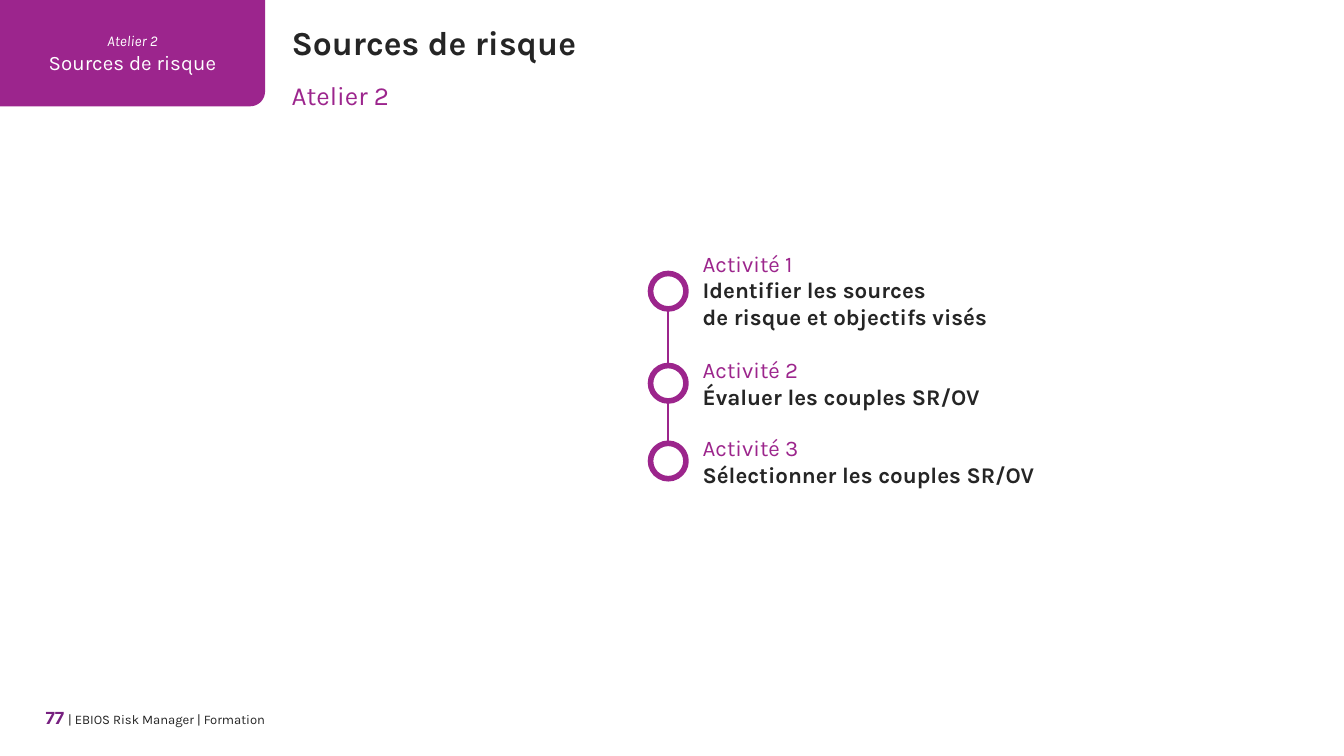
from math import cos, pi, sin

from lxml.etree import SubElement
from pptx import Presentation
from pptx.dml.color import RGBColor
from pptx.enum.shapes import MSO_CONNECTOR, MSO_SHAPE
from pptx.enum.text import MSO_ANCHOR, PP_ALIGN
from pptx.oxml.ns import qn
from pptx.util import Cm, Pt

PURPLE = RGBColor(0x9C, 0x25, 0x8C)
TAB_PURPLE = RGBColor(0x9C, 0x25, 0x8D)
PAGE_PURPLE = RGBColor(0x77, 0x20, 0x80)
DARK = RGBColor(0x25, 0x25, 0x25)
WHITE = RGBColor(0xFF, 0xFF, 0xFF)


def add_text(paragraph, text, size, color, bold=False, italic=False):
    """Append text to the paragraph, turning each newline into a line break."""
    for index, line in enumerate(text.split("\n")):
        if index:
            paragraph.add_line_break()
        if line:
            run = paragraph.add_run()
            run.text = line
            font = run.font
            font.name, font.size = "Karla", Pt(size)
            font.bold, font.italic = bold, italic
            font.color.rgb = color


def add_box(left, top, width, height):
    """Add a text box without margins and return its first paragraph."""
    frame = slide.shapes.add_textbox(Cm(left), Cm(top), Cm(width), Cm(height)).text_frame
    frame.word_wrap = True
    frame.margin_left = frame.margin_right = frame.margin_top = frame.margin_bottom = 0
    return frame.paragraphs[0]


prs = Presentation()
prs.slide_width, prs.slide_height = Cm(25.4), Cm(14.29)
slide = prs.slides.add_slide(prs.slide_layouts[6])

# Footer
footer = add_box(0.51, 13.34, 4.5, 0.51)
footer.alignment = PP_ALIGN.RIGHT
add_text(footer, "77", 10, PAGE_PURPLE, bold=True)
add_text(footer, " ", 9, DARK)
add_text(footer, "| EBIOS Risk Manager | Formation", 7, DARK)

# Workshop tab, rounded at its lower right corner
TAB_WIDTH, TAB_HEIGHT, RADIUS, ARC_STEPS = 5.01, 2.01, 0.28, 16
corner = []
for step in range(ARC_STEPS + 1):
    angle = pi / 2 * step / ARC_STEPS
    corner.append((Cm(TAB_WIDTH - RADIUS + RADIUS * cos(angle)),
                   Cm(TAB_HEIGHT - RADIUS + RADIUS * sin(angle))))
outline = slide.shapes.build_freeform(0, 0)
outline.add_line_segments([(Cm(TAB_WIDTH), 0), *corner, (0, Cm(TAB_HEIGHT))])
tab = outline.convert_to_shape()
tab.shadow.inherit = False
tab.fill.solid()
tab.fill.fore_color.rgb = TAB_PURPLE
tab.line.fill.background()
tab.text_frame.word_wrap = True
tab.text_frame.vertical_anchor = MSO_ANCHOR.MIDDLE
tab_label = tab.text_frame.paragraphs[0]
tab_title = tab.text_frame.add_paragraph()
tab_label.alignment = tab_title.alignment = PP_ALIGN.CENTER
add_text(tab_label, "Atelier 2", 8, WHITE, italic=True)
add_text(tab_title, "Sources de risque", 11, WHITE)

# Timeline of activities: text top, circle top, text height, title
ACTIVITIES = [
    (4.72, 5.17, 1.55, "Identifier les sources\nde risque et objectifs visés"),
    (6.73, 6.91, 1.02, "Évaluer les couples SR/OV"),
    (8.2, 8.38, 1.02, "Sélectionner les couples SR/OV"),
]
AXIS, DIAMETER = 12.63, 0.67

axis_line = slide.shapes.add_connector(
    MSO_CONNECTOR.STRAIGHT, Cm(AXIS), Cm(5.17), Cm(AXIS), Cm(8.48))
axis_line.line.color.rgb = PURPLE
axis_line.line.width = Pt(1.25)
SubElement(axis_line._element.spPr, qn("a:effectLst"))

for number, (text_top, circle_top, height, title) in enumerate(ACTIVITIES, 1):
    marker = slide.shapes.add_shape(
        MSO_SHAPE.OVAL, Cm(AXIS - DIAMETER / 2), Cm(circle_top), Cm(DIAMETER), Cm(DIAMETER))
    marker.shadow.inherit = False
    marker.fill.solid()
    marker.fill.fore_color.rgb = WHITE
    marker.line.color.rgb = PURPLE
    marker.line.width = Pt(3)

    activity = add_box(13.28, text_top, 8.25 if number == 2 else 7.3, height)
    add_text(activity, f"Activité {number}\n", 12, PURPLE)
    add_text(activity, title, 12, DARK, bold=True)

# Headings
add_text(add_box(5.51, 0.41, 19, 0.76), "Sources de risque", 18, DARK, bold=True)
add_text(add_box(5.51, 1.5, 17.88, 0.61), "Atelier 2", 14, TAB_PURPLE)

prs.save("out.pptx")
